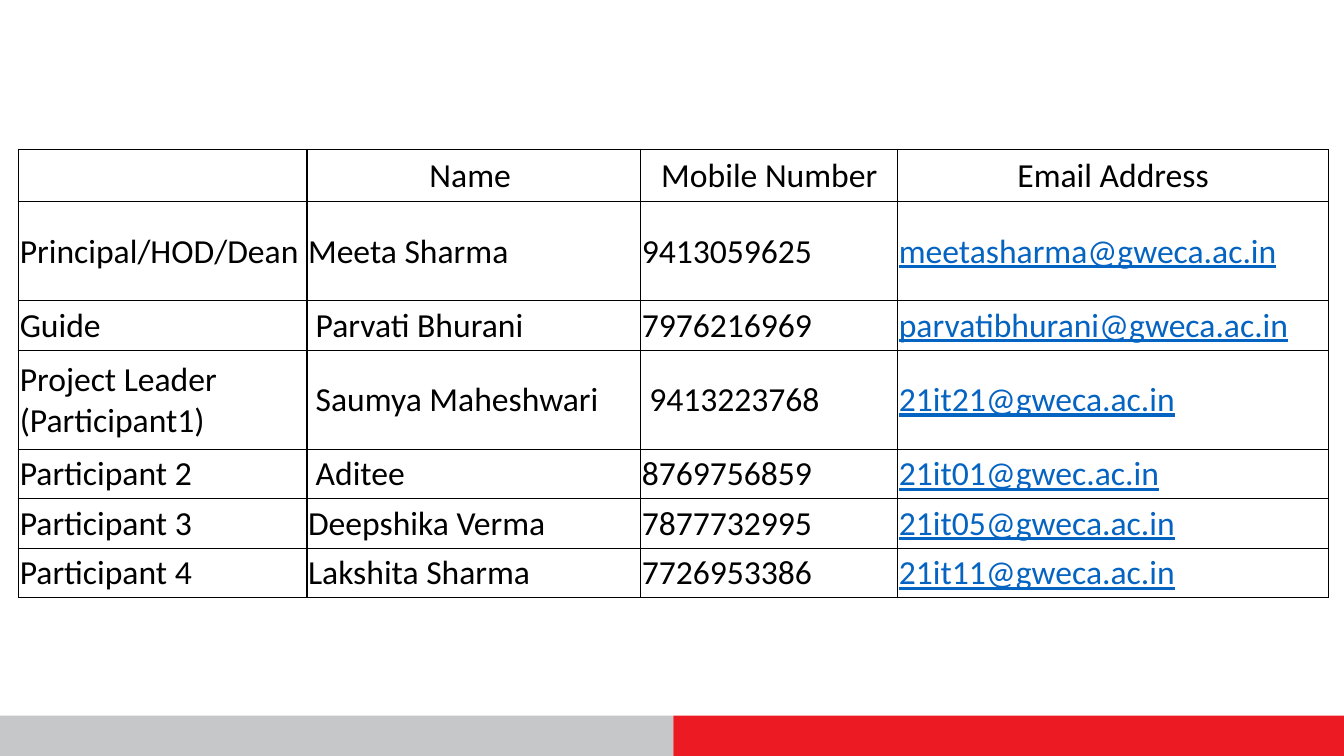
from pptx import Presentation
from pptx.dml.color import RGBColor
from pptx.enum.shapes import MSO_SHAPE as Shape
from pptx.enum.text import MSO_ANCHOR as Anchor, PP_ALIGN as Align
from pptx.oxml import parse_xml
from pptx.oxml.ns import nsdecls
from pptx.util import Inches, Pt

BLACK, LINK_BLUE = "000000", "0563C1"
GREY, RED = "C5C7C9", "EC1B23"

HEADINGS = ["", "Name ", "Mobile Number", "Email Address"]
MEMBERS = [
    ["Principal/HOD/Dean", "Meeta Sharma", "9413059625", "meetasharma@gweca.ac.in"],
    ["Guide", " Parvati Bhurani", "7976216969", "parvatibhurani@gweca.ac.in"],
    ["Project Leader (Participant1)", " Saumya Maheshwari", " 9413223768", "21it21@gweca.ac.in"],
    ["Participant 2", " Aditee", "8769756859", "21it01@gwec.ac.in"],
    ["Participant 3", "Deepshika Verma", "7877732995", "21it05@gweca.ac.in"],
    ["Participant 4", "Lakshita Sharma", "7726953386", "21it11@gweca.ac.in"],
]

# Percent shares of the slide's width and height
COLUMN_SHARES = [21.45, 24.83, 19.13, 32.03]
HEADER_SHARE, LINE_SHARE = 6.93, 6.55
ROW_LINES = [2, 1, 2, 1, 1, 1]
BAR_TOP, BAR_SPLIT = 94.67, 50.1


def color(hex_string):
    return RGBColor.from_string(hex_string)


class SlideBuilder:
    """Holds the style and the current slide; lengths are percent shares."""

    font_name = "Calibri"
    font_size = Pt(24)
    inset = Inches(0.01)

    def __init__(self, presentation):
        self.width = presentation.slide_width
        self.height = presentation.slide_height
        self.slide = presentation.slides.add_slide(presentation.slide_layouts[6])

    def across(self, share):
        return round(self.width * share / 100)

    def down(self, share):
        return round(self.height * share / 100)

    def bar(self, left, top, width, height, fill):
        shape = self.slide.shapes.add_shape(
            Shape.RECTANGLE, self.across(left), self.down(top),
            self.across(width), self.down(height))
        shape.shadow.inherit = False
        shape.fill.solid()
        shape.fill.fore_color.rgb = color(fill)
        shape.line.fill.background()

    def table(self, left, top, column_shares, row_shares, rows):
        frame = self.slide.shapes.add_table(
            len(rows), len(column_shares), self.across(left), self.down(top),
            self.across(sum(column_shares)), self.down(sum(row_shares)))
        table = frame.table
        table.first_row = table.horz_banding = False
        for column, share in zip(table.columns, column_shares):
            column.width = self.across(share)
        for row, share, texts in zip(table.rows, row_shares, rows):
            row.height = self.down(share)
            for cell, text in zip(row.cells, texts):
                self.cell(cell, text, heading=texts is rows[0])

    def cell(self, cell, text, heading):
        cell.text = text
        cell.vertical_anchor = Anchor.MIDDLE
        cell.margin_left = cell.margin_right = cell.margin_top = self.inset
        cell.margin_bottom = 0
        self.borders(cell)
        cell.fill.background()
        is_email = "@" in text
        paragraph = cell.text_frame.paragraphs[0]
        paragraph.alignment = Align.CENTER if heading else Align.LEFT
        font = paragraph.font
        font.name, font.size = self.font_name, self.font_size
        font.bold, font.underline = False, is_email
        font.color.rgb = color(LINK_BLUE if is_email else BLACK)

    def borders(self, cell):
        properties = cell._tc.get_or_add_tcPr()
        for side in "LRTB":
            properties.append(parse_xml(
                f'<a:ln{side} {nsdecls("a")} w="{Pt(1)}"><a:solidFill>'
                f'<a:srgbClr val="{BLACK}"/></a:solidFill></a:ln{side}>'))


def main():
    presentation = Presentation()
    presentation.slide_width = Inches(13.33)
    presentation.slide_height = Inches(7.5)
    builder = SlideBuilder(presentation)

    # Footer bars
    builder.bar(0, BAR_TOP, BAR_SPLIT, 100 - BAR_TOP, GREY)
    builder.bar(BAR_SPLIT, BAR_TOP, 100 - BAR_SPLIT, 100 - BAR_TOP, RED)

    # Team contacts
    row_shares = [HEADER_SHARE] + [lines * LINE_SHARE for lines in ROW_LINES]
    builder.table(1.4, 19.75, COLUMN_SHARES, row_shares, [HEADINGS] + MEMBERS)

    presentation.save("out.pptx")


if __name__ == "__main__":
    main()
